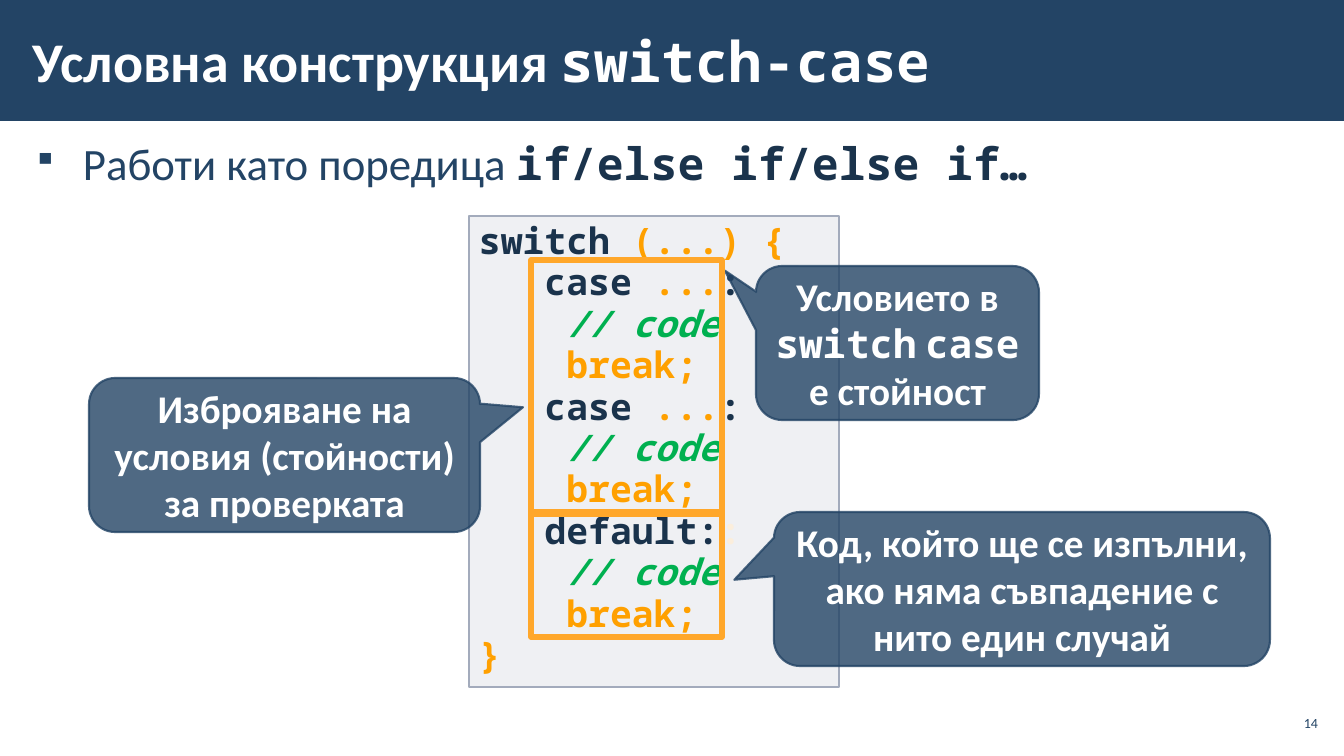
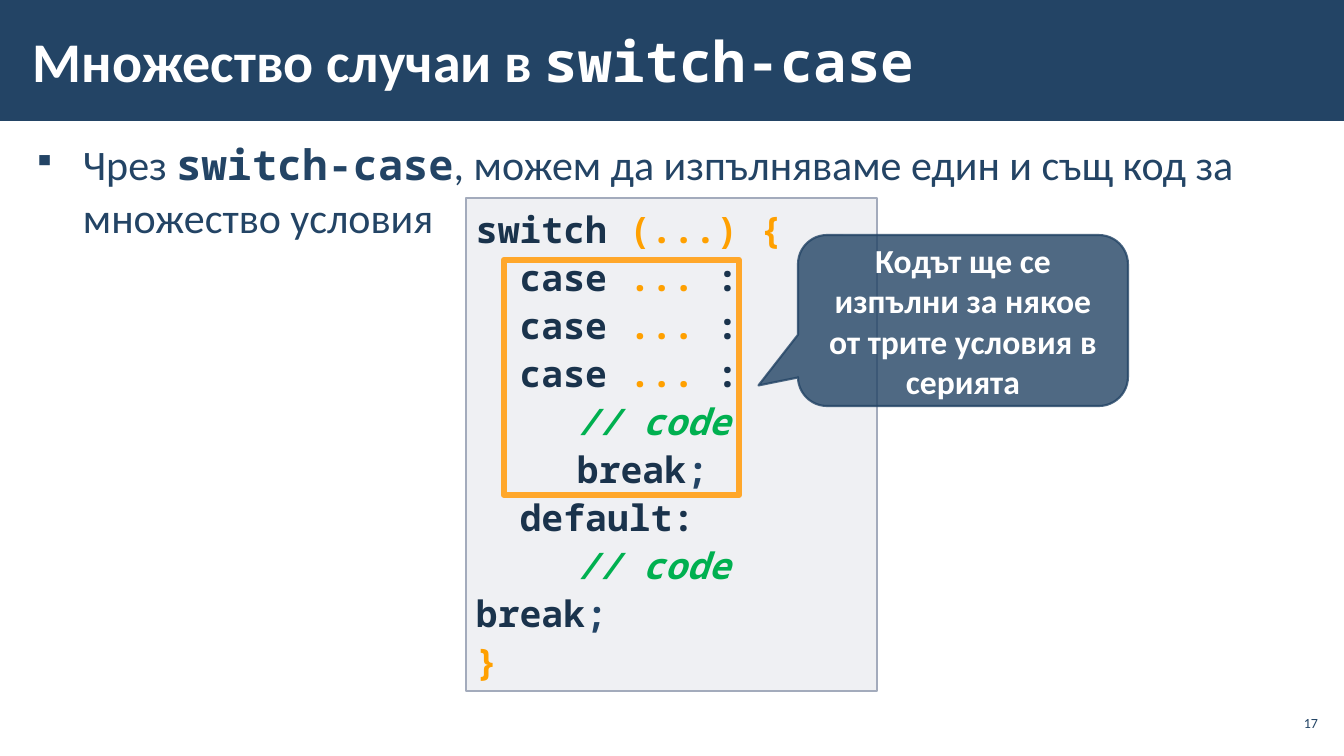
import pptx
import pptx.util
import pptx.dml.color
import pptx.enum.shapes
import pptx.enum.text
import pptx.oxml
import pptx.oxml.ns
import lxml.etree

RGBColor = pptx.dml.color.RGBColor
NAVY = RGBColor(0x23, 0x44, 0x65)
INK = RGBColor(0x1A, 0x33, 0x4C)
WHITE = RGBColor(0xFF, 0xFF, 0xFF)
AMBER = RGBColor(0xFF, 0xA0, 0x00)
FRAME_AMBER = RGBColor(0xFF, 0xA7, 0x2A)
CREAM = RGBColor(0xFB, 0xEE, 0xDC)
GREEN = RGBColor(0x00, 0xB0, 0x50)
PANEL_FILL = RGBColor(0xC2, 0xC7, 0xD2)
PANEL_LINE = RGBColor(0xA3, 0xAB, 0xBC)

PX = 914400 / 100.8
SANS, MONO = "Calibri", "Noto Sans Mono"
SHAPES = pptx.enum.shapes.MSO_SHAPE
ANCHOR = pptx.enum.text.MSO_ANCHOR
ALIGN = pptx.enum.text.PP_ALIGN
qn = pptx.oxml.ns.qn

# Run styles: colour and font values
TITLE = (WHITE, {"name": SANS, "bold": True})
TITLE_CODE = (WHITE, {"name": MONO, "bold": True})
BODY = (NAVY, {"name": SANS})
BODY_CODE = (NAVY, {"name": MONO, "bold": True})
BODY_DARK = (INK, {"name": MONO, "bold": True})
KEYWORD = BODY_DARK
SYMBOL = (AMBER, {"name": MONO, "bold": True})
FAINT = (CREAM, {"name": MONO, "bold": True})
COMMENT = (GREEN, {"name": MONO, "bold": True, "italic": True})

# Code lines used more than once
SWITCH_LINE = [("switch ", KEYWORD), ("(...) {", SYMBOL)]
CLOSE_LINE = [("}", SYMBOL)]
ACTION_LINES = [[("    ", KEYWORD), ("// code", COMMENT)], [("    break;", SYMBOL)]]
CASE_LINE = [("   case", KEYWORD), (" ...", SYMBOL), (":", KEYWORD)]
SHARED_CASE_LINE = [("  case ", KEYWORD), ("... ", SYMBOL), (":", KEYWORD)]
TAB_COMMENT_LINE = [("\t", KEYWORD), ("// code", COMMENT)]

SLIDES = [
    {
        "title": [("Условна конструкция ", TITLE), ("switch-case", TITLE_CODE)],
        "body": [("Работи като поредица ", BODY), ("if/else if/else if…", BODY_DARK)],
        "body_size": 32,
        "body_spacing": 1.0,
        "number": "14",
        "code_box": (469, 216, 370, 471),
        "code_spacing": 0.95,
        "code": [SWITCH_LINE]
        + [CASE_LINE, *ACTION_LINES] * 2
        + [[("   default:", KEYWORD), (":", FAINT)], *ACTION_LINES, CLOSE_LINE],
        "callout_size": 28,
        "callouts": [
            ((756, 266, 283, 154), (-0.61, -0.47),
             [("Условието в ", TITLE), ("switch", TITLE_CODE), (" ", TITLE),
              ("case", TITLE_CODE), (" е стойност", TITLE)]),
            ((89, 378, 391, 154), (0.61, -0.31),
             [("Изброяване на условия (стойности) за проверката", TITLE)]),
            ((774, 512, 496, 154), (-0.58, -0.06),
             [("Код, който ще се изпълни, ако няма съвпадение с нито един случай", TITLE)]),
        ],
        "frames": [(531, 260, 191, 254), (531, 512, 191, 125)],
        "frame_width": 4,
    },
    {
        "title": [("Множество случаи в ", TITLE), ("switch-case", TITLE_CODE)],
        "body": [("Чрез ", BODY), ("switch-case", BODY_CODE),
                 (", можем да изпълняваме един и същ код за множество условия", BODY)],
        "body_size": 30,
        "body_spacing": 1.05,
        "number": "17",
        "code_box": (466, 198, 411, 493),
        "code_spacing": 1.1,
        "code": [SWITCH_LINE]
        + [SHARED_CASE_LINE] * 3
        + [TAB_COMMENT_LINE,
           [("\tbreak", KEYWORD), (";", BODY_CODE)],
           [("  default:", KEYWORD)],
           TAB_COMMENT_LINE,
           [("break", KEYWORD), (";", BODY_CODE)],
           CLOSE_LINE],
        "callout_size": 24,
        "callouts": [
            ((798, 235, 330, 171), (-0.62, 0.38),
             [("Кодът ще се изпълни за някое от трите условия в серията", TITLE)]),
        ],
        "frames": [(504, 260, 235, 235)],
        "frame_width": 4.5,
    },
]


def add_panel(slide, kind, box, fill, line, line_width=1, opacities=()):
    """Add a flat shape; opacities are percentages for fill, then line."""
    shape = slide.shapes.add_shape(kind, *(round(value * PX) for value in box))
    shape.shadow.inherit = False
    if fill is None:
        shape.fill.background()
    else:
        shape.fill.solid()
        shape.fill.fore_color.rgb = fill
    if line is None:
        shape.line.fill.background()
    else:
        shape.line.color.rgb = line
        shape.line.width = pptx.util.Pt(line_width)
    colours = shape._element.spPr.iter(qn("a:srgbClr"))
    for colour, opacity in zip(list(colours), opacities):
        lxml.etree.SubElement(colour, qn("a:alpha"), val=str(opacity * 1000))
    return shape


def write(shape, lines, size, anchor, insets, paragraph_format, bullet=False, tab=None):
    """Fill a shape with paragraphs, each a list of (text, style) runs."""
    frame = shape.text_frame
    frame.word_wrap = True
    frame.vertical_anchor = anchor
    for side, inset in zip(("left", "top", "right", "bottom"), insets):
        setattr(frame, f"margin_{side}", round(inset * PX))
    for index, runs in enumerate(lines):
        paragraph = frame.add_paragraph() if index else frame.paragraphs[0]
        for name, value in paragraph_format.items():
            setattr(paragraph, name, value)
        properties = paragraph._p.get_or_add_pPr()
        if bullet:
            properties.set("marL", str(round(50 * PX)))
            properties.set("indent", str(round(-50 * PX)))
            lxml.etree.SubElement(properties, qn("a:buSzPct"), val="75000")
            lxml.etree.SubElement(properties, qn("a:buChar"), char="▪")
        if tab:
            tabs = lxml.etree.SubElement(properties, qn("a:tabLst"))
            lxml.etree.SubElement(tabs, qn("a:tab"), pos=str(round(tab * PX)), algn="l")
        for text, (colour, font_format) in runs:
            run = paragraph.add_run()
            run.text = text
            run.font.size = pptx.util.Pt(size)
            run.font.color.rgb = colour
            for name, value in font_format.items():
                setattr(run.font, name, value)


presentation = pptx.Presentation()
presentation.slide_width = round(1344 * PX)
presentation.slide_height = round(756 * PX)

for content in SLIDES:
    slide = presentation.slides.add_slide(presentation.slide_layouts[6])

    # Title band
    add_panel(slide, SHAPES.RECTANGLE, (0, 0, 1344, 121), NAVY, None)

    # Body, title and slide number
    text_boxes = [
        ((21, 132, 1302, 574), content["body"], content["body_size"], ANCHOR.TOP, (12, 4, 12, 4),
         {"line_spacing": content["body_spacing"], "space_after": pptx.util.Pt(6)}, True),
        ((21, 11, 1047, 98), content["title"], 40, ANCHOR.MIDDLE, (12, 4, 12, 4), {}, False),
        ((1275, 706, 47, 34), [(content["number"], BODY)], 10, ANCHOR.MIDDLE, (4, 4, 4, 4),
         {"alignment": ALIGN.RIGHT}, False),
    ]
    for box, runs, size, anchor, insets, paragraph_format, bullet in text_boxes:
        text_box = slide.shapes.add_textbox(*(round(value * PX) for value in box))
        write(text_box, [runs], size, anchor, insets, paragraph_format, bullet)

    # Code panel
    panel = add_panel(slide, SHAPES.RECTANGLE, content["code_box"], PANEL_FILL, PANEL_LINE,
                      opacities=(25,))
    write(panel, content["code"], 26, ANCHOR.TOP, (10, 5, 10, 5),
          {"alignment": ALIGN.LEFT, "line_spacing": content["code_spacing"]}, tab=101)

    # Callouts
    for box, pointer, runs in content["callouts"]:
        callout = add_panel(slide, SHAPES.ROUNDED_RECTANGULAR_CALLOUT, box, NAVY, NAVY, 1.5,
                            (80, 80))
        for index, value in enumerate((*pointer, 0.17)):
            callout.adjustments[index] = value
        write(callout, [runs], content["callout_size"], ANCHOR.MIDDLE, (10, 5, 10, 5),
              {"alignment": ALIGN.CENTER})

    # Highlight frames
    for box in content["frames"]:
        add_panel(slide, SHAPES.RECTANGLE, box, None, FRAME_AMBER, content["frame_width"])

presentation.save("out.pptx")
